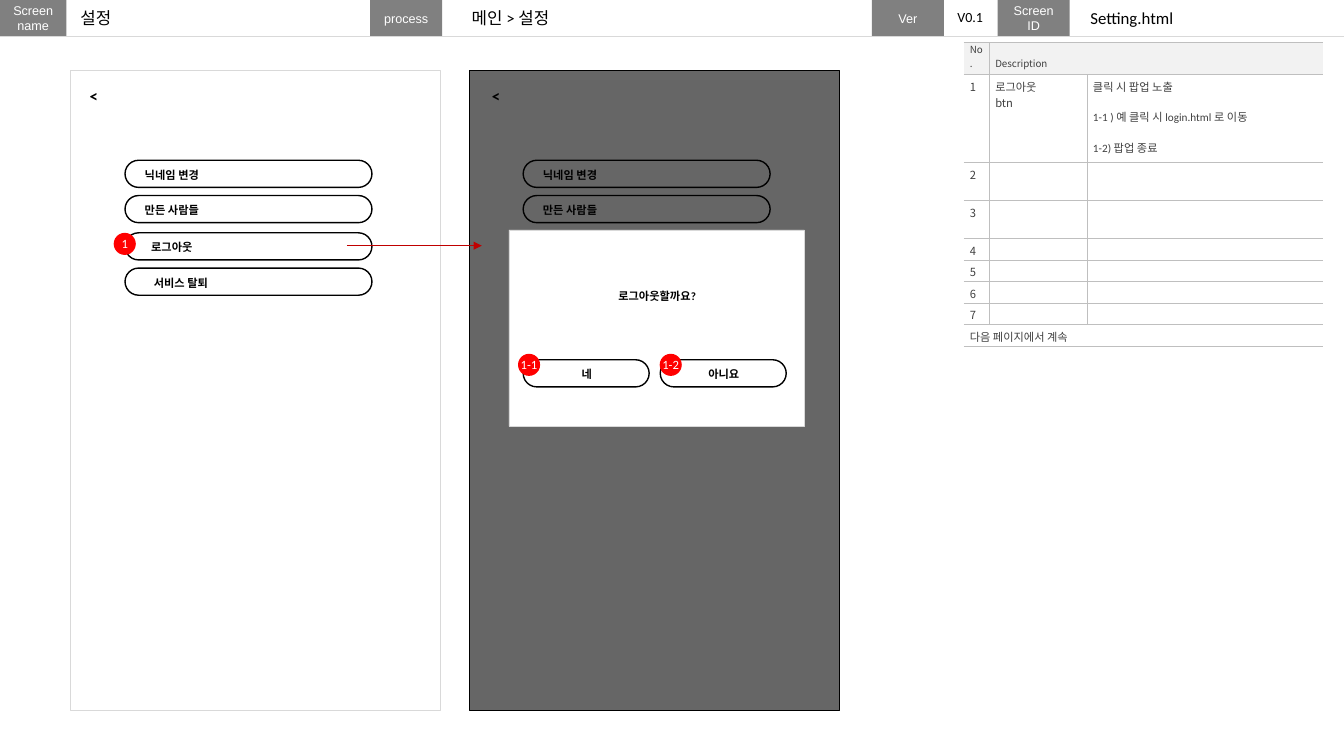
from lxml.etree import SubElement
from pptx import Presentation
from pptx.dml.color import RGBColor
from pptx.enum.shapes import MSO_CONNECTOR, MSO_SHAPE
from pptx.enum.text import MSO_ANCHOR, PP_ALIGN
from pptx.oxml.ns import qn
from pptx.util import Pt

INK = {
    "black": "000000", "white": "FFFFFF", "gray": "808080", "pale": "D9D9D9",
    "rule": "BFBFBF", "head": "F2F2F2", "text": "404040", "red": "FF0000",
    "arrow": "C00000",
}
KOREAN = "Noto Sans CJK KR"

deck = Presentation()
deck.slide_width, deck.slide_height = Pt(960), Pt(540)
slide = deck.slides.add_slide(deck.slide_layouts[6])
shapes = slide.shapes


def write(frame, text, size, font="Calibri", color="black", bold=False, align=PP_ALIGN.LEFT):
    frame.text = text
    for para in frame.paragraphs:
        para.alignment = align
        for run in para.runs:
            run.font.size, run.font.name, run.font.bold = Pt(size), font, bold
            run.font.color.rgb = RGBColor.from_string(INK[color])
            SubElement(run.font._element, qn("a:ea"), typeface=KOREAN)


def draw(kind, left, top, width, height, fill="white", line=None, weight=0.25):
    shape = shapes.add_shape(kind, Pt(left), Pt(top), Pt(width), Pt(height))
    shape.shadow.inherit = False
    shape.fill.solid()
    shape.fill.fore_color.rgb = RGBColor.from_string(INK[fill])
    if line:
        shape.line.color.rgb = RGBColor.from_string(INK[line])
        shape.line.width = Pt(weight)
    else:
        shape.line.fill.background()
    return shape


tabs = [(0, 47.5, "Screen\nname"), (264.4, 51.4, "process"),
        (712.6, 51.4, "Screen\nID"), (622.8, 51.4, "Ver")]
for left, width, text in tabs:
    frame = draw(MSO_SHAPE.RECTANGLE, left, 0, width, 25.9, "gray").text_frame
    frame.margin_left = frame.margin_right = Pt(2.83)
    frame.margin_top = frame.margin_bottom = Pt(2.83)
    frame.vertical_anchor = MSO_ANCHOR.MIDDLE
    write(frame, text, 9, "Arial", "white", align=PP_ALIGN.CENTER)

for left in (335.5, 50.4):
    draw(MSO_SHAPE.RECTANGLE, left, 50.4, 264.2, 457.2, "white", "pale")

notes = [
    ("No.", "Description", ""),
    ("1", "로그아웃\nbtn", "클릭 시 팝업 노출\n1-1 ) 예 클릭 시 login.html 로 이동\n1-2) 팝업 종료"),
    *[(str(num), "", "") for num in range(2, 8)],
    ("다음 페이지에서 계속", "", ""),
]
highs = [22.9, 62.9, 27.1, 27.1] + [15.4] * 5
table = shapes.add_table(9, 3, Pt(688.5), Pt(30.2), Pt(256.5), Pt(sum(highs))).table
table._tbl.tblPr.find(qn("a:tableStyleId")).text = "{2D5ABB26-0587-4C30-8999-92F81FD0307C}"
table.first_row = table.horz_banding = False
for col, width in zip(table.columns, (18.2, 69.8, 168.5)):
    col.width = Pt(width)
table.cell(0, 1).merge(table.cell(0, 2))
table.cell(8, 0).merge(table.cell(8, 2))

for row, (texts, high) in enumerate(zip(notes, highs)):
    table.rows[row].height = Pt(high)
    for col, text in enumerate(texts):
        cell = table.cell(row, col)
        cell.margin_left = cell.margin_right = Pt(4.2)
        cell.margin_top, cell.margin_bottom = (Pt(0), Pt(2.8)) if row == 0 else (Pt(2.8), Pt(0))
        cell.vertical_anchor = MSO_ANCHOR.BOTTOM if row == 0 else MSO_ANCHOR.TOP
        font = "Calibri" if col == 2 else KOREAN
        write(cell.text_frame, text, 7 if row == 0 else 8, font, "text")
        if not text:
            SubElement(cell.text_frame.paragraphs[0]._p, qn("a:endParaRPr"), sz="800")
        if col == 2:
            for para in cell.text_frame.paragraphs[1:]:
                para.space_before = Pt(10.2)
        sides = ["lnT", "lnB"]
        if row < 8 and col < 2:
            sides.insert(0, "lnR" if col == 0 else "lnL")
        for side in sides:
            edge = SubElement(cell._tc.get_or_add_tcPr(), qn("a:" + side), w=str(Pt(0.25)))
            SubElement(SubElement(edge, qn("a:solidFill")), qn("a:srgbClr"), val=INK["rule"])
        if row == 0:
            cell.fill.solid()
            cell.fill.fore_color.rgb = RGBColor.from_string(INK["head"])
        else:
            cell.fill.background()

labels = []
menu = [("닉네임 변경", 114.5, 0), ("만든 사람들", 139.7, 0),
        ("로그아웃", 166.3, 0), ("서비스 탈퇴", 191.5, 6.5)]
pills = [(89.3, top, 176.4, text, shift, 67) for text, top, shift in menu]
pills += [(373.7, top, 176.4, text, shift, 67) for text, top, shift in menu[:2]]
answers = [(373.7, 257, 90, "네", 16.6, 57.6), (471.6, 257, 90, "아니요", 16.6, 57.6)]


def pill(left, top, width, text, shift, room):
    shape = draw(MSO_SHAPE.ROUNDED_RECTANGLE, left, top, width, 19.4, "white", "black", 1)
    shape.adjustments[0] = 0.5
    box = shapes.add_textbox(Pt(left + shift), Pt(top + 2), Pt(room), Pt(17))
    box.text_frame.word_wrap = True
    write(box.text_frame, text, 8, bold=True, align=PP_ALIGN.CENTER)


for item in pills:
    pill(*item)

shade = draw(MSO_SHAPE.RECTANGLE, 335.5, 50.4, 264.2, 457.2, "black", "black", 1)
tint = shade.fill._xPr.find(qn("a:solidFill"))[0]
SubElement(tint, qn("a:alpha"), val="60000")

lines = [(0, 25.9, 960, 25.9, "pale", False), (247.7, 175.5, 344.2, 175.5, "arrow", True)]
for left, top, right, low, color, tip in lines:
    line = shapes.add_connector(MSO_CONNECTOR.STRAIGHT, Pt(left), Pt(top), Pt(right), Pt(low))
    line.line.color.rgb = RGBColor.from_string(INK[color])
    line.line.width = Pt(0.5)
    if tip:
        SubElement(line.line._get_or_add_ln(), qn("a:tailEnd"), type="triangle")
    SubElement(line._element.spPr, qn("a:effectLst"))

draw(MSO_SHAPE.RECTANGLE, 363.6, 164.2, 211, 140.4, "white", "pale")
box = shapes.add_textbox(Pt(427.7), Pt(203), Pt(83.5), Pt(17))
box.text_frame.word_wrap = True
write(box.text_frame, "로그아웃할까요?", 8, bold=True, align=PP_ALIGN.CENTER)
for item in answers:
    pill(*item)

for left, top, text in [(81.2, 166.3, "1"), (370, 252.7, "1-1"), (471.2, 252.7, "1-2")]:
    dot = draw(MSO_SHAPE.OVAL, left, top, 15.8, 15.8, "red")
    frame = dot.text_frame
    frame.margin_left = frame.margin_right = frame.margin_top = frame.margin_bottom = 0
    frame.vertical_anchor = MSO_ANCHOR.MIDDLE
    frame.word_wrap = False
    write(frame, text, 9, color="white", align=PP_ALIGN.CENTER)

captions = [
    (56.9, 57.6, 20.9, "<", 12, True), (344.2, 57.6, 20.9, "<", 12, True),
    (50.4, 2.2, 38.9, "설정", 12, False), (329.8, 2.2, 77, "메인 > 설정", 12, False),
    (771.8, 2.2, 77, "Setting.html", 12, False), (676.8, 2.2, 33.1, "V0.1", 10, False),
]
for left, top, width, text, size, bold in captions:
    box = shapes.add_textbox(Pt(left), Pt(top), Pt(width), Pt(21.6))
    box.text_frame.word_wrap = False
    write(box.text_frame, text, size, bold=bold)

deck.save("out.pptx")
